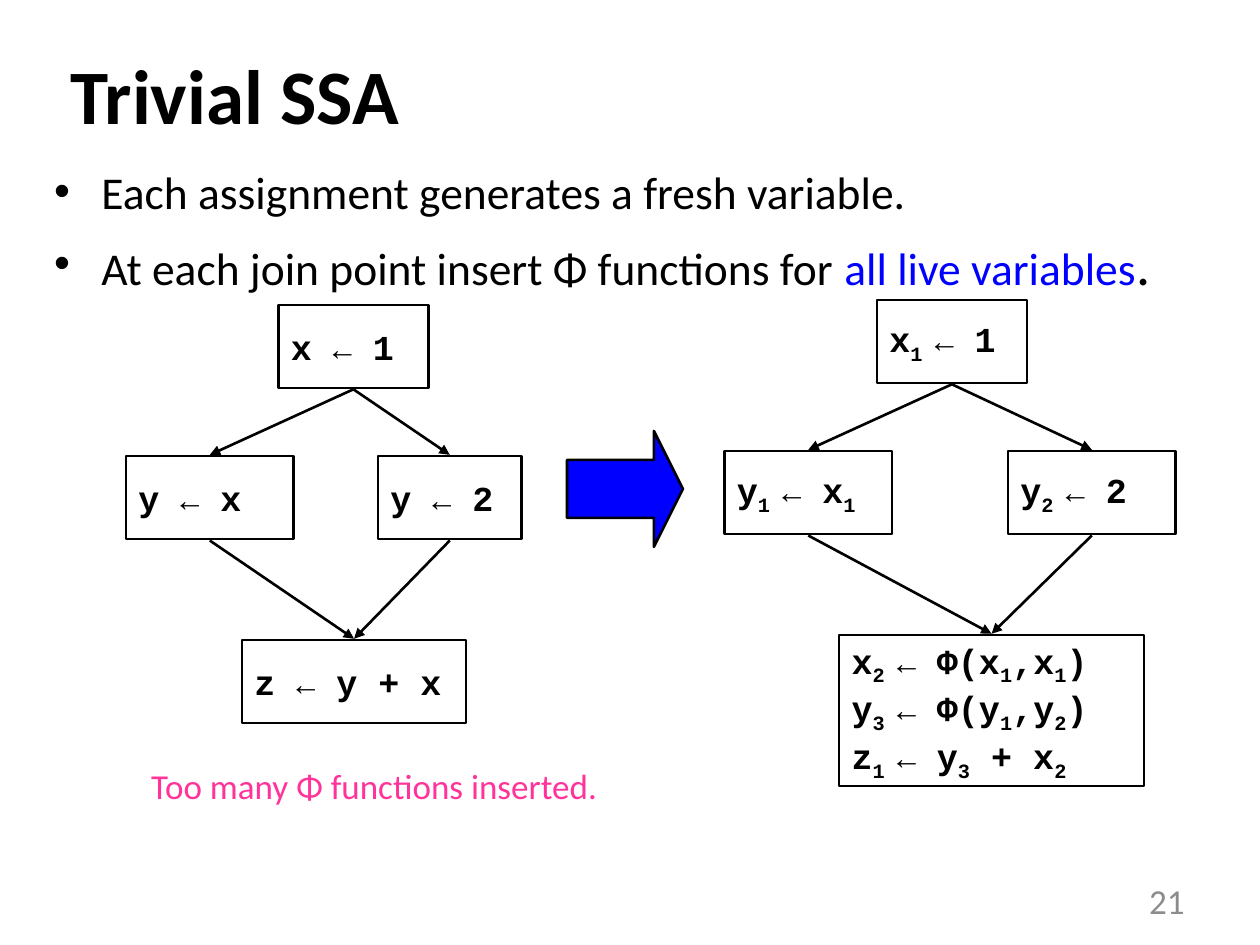
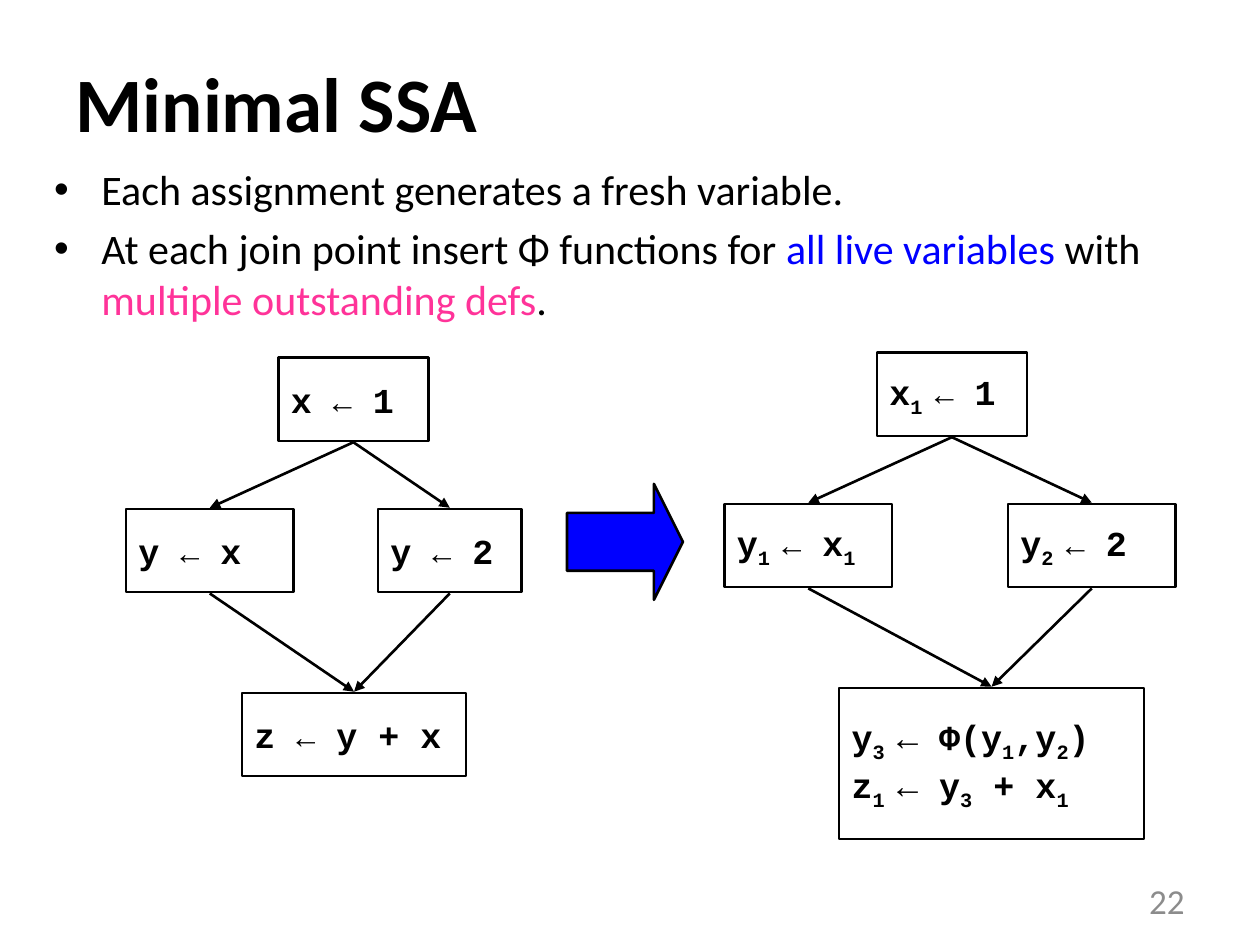
from dataclasses import dataclass

from lxml.etree import SubElement
from pptx import Presentation
from pptx.dml.color import RGBColor
from pptx.enum.shapes import MSO_CONNECTOR as Connector, MSO_SHAPE as Shape
from pptx.enum.text import MSO_ANCHOR as Anchor, MSO_AUTO_SIZE as AutoSize, PP_ALIGN as Align
from pptx.oxml.ns import qn
from pptx.util import Inches, Pt

BLACK = RGBColor(0x00, 0x00, 0x00)
BLUE = RGBColor(0x00, 0x00, 0xFF)
PINK = RGBColor(0xFF, 0x33, 0x99)
GREY = RGBColor(0x8C, 0x8C, 0x8C)
TEXT_FONT = "Calibri"
CODE_FONT = "Courier New"
CODE_SIZE = 20
ARROW_SIZE = 18
LINE_WIDTH = 1.5
ROW_HEIGHT = 0.66
JOIN_HEIGHT = 1.2
ROW_OFFSETS = (0, 1.2, 2.66)
RIGHT_RISE = 0.04
LINE_GAP = 0.01


@dataclass(frozen=True)
class Span:
    text: str
    color: RGBColor = BLACK
    size: float | None = None


@dataclass(frozen=True)
class Block:
    left: float
    width: float
    row: int
    lines: tuple[str, ...]
    height: float = ROW_HEIGHT
    arrow_size: float = ARROW_SIZE

    @property
    def center(self) -> float:
        return self.left + self.width / 2


@dataclass(frozen=True)
class Diamond:
    entry: Block
    branches: tuple[Block, Block]
    join: Block


@dataclass(frozen=True)
class Lesson:
    title: str
    title_left: float
    title_top: float
    body_size: float
    bullets: tuple[tuple[Span, ...], ...]
    number: int
    diagram_top: float
    join: Block
    remark: str = ""


SOURCE = Diamond(
    Block(2.21, 1.19, 0, ("x ← 1",)),
    (Block(1, 1.33, 1, ("y ← x",)), Block(3, 1.14, 1, ("y ← 2",))),
    Block(1.92, 1.78, 2, ("z ← y + x",)),
)
SSA_ENTRY = Block(6.96, 1.19, 0, ("x[1 ]← 1",))
SSA_BRANCHES = (
    Block(5.75, 1.33, 1, ("y[1 ]← x[1]",)),
    Block(8, 1.33, 1, ("y[2 ]← 2",)),
)
FRESH = (Span("Each assignment generates a fresh variable."),)
JOIN_RULE = Span("At each join point insert Φ functions for ")

LESSONS = (
    Lesson(
        "Trivial SSA", 0.46, 0.12, 26,
        (FRESH, (JOIN_RULE, Span("all live variables", BLUE), Span(".", size=32))),
        21, 2.42,
        Block(6.66, 2.42, 2,
              ("x[2 ]← Φ(x[1],x[1])", "y[3 ]← Φ(y[1],y[2])", "z[1 ]← y[3] + x[2]"),
              JOIN_HEIGHT),
        "Too many Φ functions inserted.",
    ),
    Lesson(
        "Minimal SSA", 0.5, 0.18, 24,
        (FRESH, (JOIN_RULE, Span("all live variables ", BLUE), Span("with "),
                 Span("multiple outstanding defs", PINK), Span("."))),
        22, 2.84,
        Block(6.66, 2.42, 2, ("y[3 ]← Φ(y[1],y[2])", "z[1 ]← y[3] + x[1]"),
              JOIN_HEIGHT, CODE_SIZE),
    ),
)


def style(font, size: float, color: RGBColor, name: str = TEXT_FONT, bold: bool = False) -> None:
    font.name, font.size, font.bold = name, Pt(size), bold
    font.color.rgb = color


def place(shape, left: float, top: float, width: float, height: float) -> None:
    shape.left, shape.top = Inches(left), Inches(top)
    shape.width, shape.height = Inches(width), Inches(height)


def outline(shape) -> None:
    shape.shadow.inherit = False
    shape.line.color.rgb = BLACK
    shape.line.width = Pt(LINE_WIDTH)


def write_code(para, line: str, arrow_size: float) -> None:
    para.alignment = Align.LEFT
    style(para.font, CODE_SIZE, BLACK, CODE_FONT, True)
    for piece in line.replace("]", "[").replace("←", "[[←[[").split("[[["):
        pass
    for index, piece in enumerate(line.replace("]", "[").split("[")):
        before, arrow, after = piece.partition("←")
        for text in filter(None, (before, arrow, after)):
            span = para.add_run()
            span.text = text
            size = arrow_size if text == "←" else CODE_SIZE
            style(span.font, size, BLACK, CODE_FONT, True)
            if index % 2:
                span.font._element.set("baseline", "-25000")


def draw_block(page, block: Block, top: float) -> None:
    box = page.shapes.add_shape(
        Shape.RECTANGLE, Inches(block.left), Inches(top + ROW_OFFSETS[block.row]),
        Inches(block.width), Inches(block.height))
    box.fill.background()
    outline(box)
    frame = box.text_frame
    frame.word_wrap = False
    frame.vertical_anchor = Anchor.MIDDLE
    for index, line in enumerate(block.lines):
        para = frame.add_paragraph() if index else frame.paragraphs[0]
        write_code(para, line, block.arrow_size)


def draw_edge(page, start: Block, end: Block, top: float) -> None:
    start_y = top + ROW_OFFSETS[start.row] + start.height + LINE_GAP
    end_y = top + ROW_OFFSETS[end.row] - LINE_GAP
    edge = page.shapes.add_connector(
        Connector.STRAIGHT, Inches(start.center), Inches(start_y),
        Inches(end.center), Inches(end_y))
    edge.line.color.rgb = BLACK
    edge.line.width = Pt(LINE_WIDTH)
    SubElement(edge.line._get_or_add_ln(), qn("a:tailEnd"), type="triangle")
    SubElement(edge._element.spPr, qn("a:effectLst"))


def draw_diamond(page, diamond: Diamond, top: float) -> None:
    for block in (*diamond.branches, diamond.join, diamond.entry):
        draw_block(page, block, top)
    for branch in diamond.branches:
        draw_edge(page, diamond.entry, branch, top)
        draw_edge(page, branch, diamond.join, top)


def draw_big_arrow(page, top: float) -> None:
    arrow = page.shapes.add_shape(
        Shape.RIGHT_ARROW, Inches(4.5), Inches(top), Inches(0.92), Inches(0.92))
    arrow.adjustments[0], arrow.adjustments[1] = 0.5, 0.25
    arrow.fill.solid()
    arrow.fill.fore_color.rgb = BLUE
    outline(arrow)


def add_label(page, text: str, left: float, top: float, width: float, height: float,
              color: RGBColor):
    box = page.shapes.add_textbox(Inches(left), Inches(top), Inches(width), Inches(height))
    frame = box.text_frame
    frame.word_wrap = True
    frame.text = text
    style(frame.paragraphs[0].font, 20, color)
    return frame


def fill_title(page, lesson: Lesson) -> None:
    title = page.shapes.title
    place(title, lesson.title_left, lesson.title_top, 9, 1.25)
    frame = title.text_frame
    frame.text = lesson.title
    frame.auto_size = AutoSize.NONE
    frame.vertical_anchor = Anchor.MIDDLE
    para = frame.paragraphs[0]
    para.alignment = Align.LEFT
    style(para.font, 44, BLACK, bold=True)


def fill_body(page, lesson: Lesson) -> None:
    body = page.placeholders[1]
    place(body, 0.33, 1.25, 9.33, 1.58)
    frame = body.text_frame
    frame.auto_size = AutoSize.NONE
    for index, bullet in enumerate(lesson.bullets):
        para = frame.add_paragraph() if index else frame.paragraphs[0]
        for part in bullet:
            span = para.add_run()
            span.text = part.text
            style(span.font, part.size or lesson.body_size, part.color)


def build_page(deck, lesson: Lesson) -> None:
    page = deck.slides.add_slide(deck.slide_layouts[1])
    fill_title(page, lesson)
    fill_body(page, lesson)
    draw_diamond(page, SOURCE, lesson.diagram_top)
    ssa = Diamond(SSA_ENTRY, SSA_BRANCHES, lesson.join)
    draw_diamond(page, ssa, lesson.diagram_top - RIGHT_RISE)
    draw_big_arrow(page, lesson.diagram_top + 1)
    if lesson.remark:
        remark = add_label(page, lesson.remark, 1, 5.92, 5.33, 0.64, PINK)
        remark.margin_left = remark.margin_right = Inches(0.2)
        remark.margin_top = remark.margin_bottom = Inches(0.15)
    number = add_label(page, str(lesson.number), 7.17, 6.95, 2.33, 0.4, GREY)
    number.vertical_anchor = Anchor.MIDDLE
    number.paragraphs[0].alignment = Align.RIGHT


def main() -> None:
    deck = Presentation()
    deck.slide_width, deck.slide_height = Inches(10), Inches(7.5)
    for lesson in LESSONS:
        build_page(deck, lesson)
    deck.save("out.pptx")


main()
